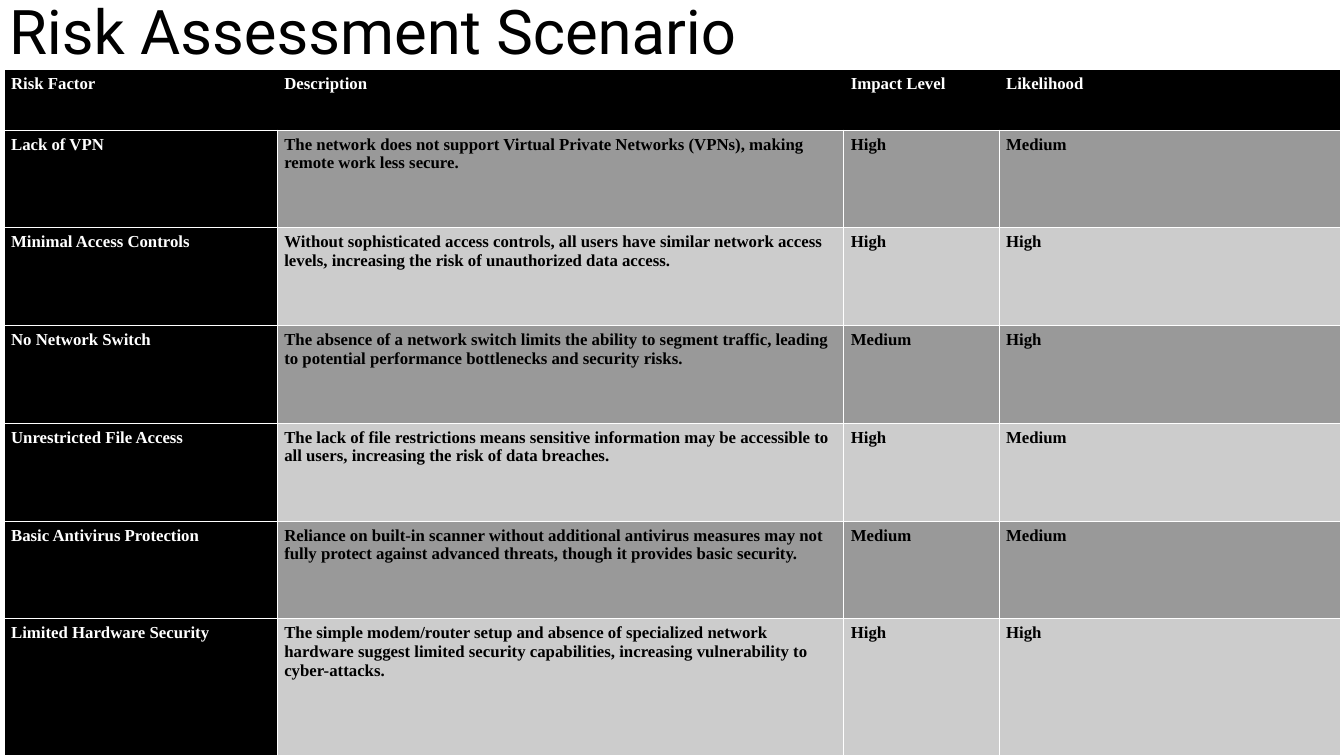
from lxml.etree import SubElement
from pptx import Presentation
from pptx.dml.color import RGBColor
from pptx.enum.text import MSO_ANCHOR as Anchor, MSO_AUTO_SIZE as AutoSize, PP_ALIGN as Align
from pptx.oxml.ns import qn
from pptx.util import Inches, Pt

WIDTH, HEIGHT = Inches(13.33), Inches(7.5)
BLACK, WHITE = "000000", "FFFFFF"
BANDS = ["999999", "CCCCCC"]
COLUMN_SHARES = [20.33, 42.16, 11.55, 25.43]
HEADER_SHARE, RISK_SHARE, LAST_SHARE = 8, 12.93, 18.13

HEADINGS = ("Risk Factor", "Description", "Impact Level", "Likelihood")
RISKS = [
    ("Lack of VPN",
     "The network does not support Virtual Private Networks (VPNs), making remote work less secure.",
     "High", "Medium"),
    ("Minimal Access Controls",
     "Without sophisticated access controls, all users have similar network access levels, "
     "increasing the risk of unauthorized data access.",
     "High", "High"),
    ("No Network Switch",
     "The absence of a network switch limits the ability to segment traffic, leading to potential "
     "performance bottlenecks and security risks.",
     "Medium", "High"),
    ("Unrestricted File Access",
     "The lack of file restrictions means sensitive information may be accessible to all users, "
     "increasing the risk of data breaches.",
     "High", "Medium"),
    ("Basic Antivirus Protection",
     "Reliance on built-in scanner without additional antivirus measures may not fully protect "
     "against advanced threats, though it provides basic security.",
     "Medium", "Medium"),
    ("Limited Hardware Security",
     "The simple modem/router setup and absence of specialized network hardware suggest limited "
     "security capabilities, increasing vulnerability to cyber-attacks.",
     "High", "High"),
]


def across(percent):
    return round(WIDTH * percent / 100)


def down(percent):
    return round(HEIGHT * percent / 100)


def paint(target, color):
    target.rgb = RGBColor.from_string(color)


def write(frame, text, size, font, color, bold=False):
    frame.text = text
    for run in frame.paragraphs[0].runs:
        run.font.size, run.font.name, run.font.bold = Pt(size), font, bold
        paint(run.font.color, color)


def add_heading(slide, text):
    heading = slide.shapes.title
    heading.left, heading.top = across(-0.08), down(-5.07)
    heading.width, heading.height = across(86.27), down(19.33)
    frame = heading.text_frame
    write(frame, text, 44, "Roboto", BLACK)
    frame.word_wrap, frame.auto_size = True, AutoSize.NONE
    frame.vertical_anchor = Anchor.MIDDLE
    frame.paragraphs[0].alignment = Align.LEFT
    frame.paragraphs[0].line_spacing = 0.9


def add_borders(cell, visible):
    properties = cell._tc.get_or_add_tcPr()
    for side in "LRTB":
        line = SubElement(properties, qn(f"a:ln{side}"), w=str(Pt(0.75)))
        if side in visible:
            SubElement(SubElement(line, qn("a:solidFill")), qn("a:srgbClr"), val=WHITE)
        else:
            SubElement(line, qn("a:noFill"))


def fill_cell(cell, text, fill, color, borders):
    add_borders(cell, borders)
    cell.fill.solid()
    paint(cell.fill.fore_color, fill)
    cell.margin_left = cell.margin_right = Inches(0.07)
    cell.margin_top = cell.margin_bottom = Inches(0.05)
    cell.vertical_anchor = Anchor.TOP
    write(cell.text_frame, text, 12, "Times New Roman", color, bold=True)


def header_borders(column):
    outer = {0: "L", len(HEADINGS) - 1: "R"}
    return "TB" + outer.get(column, "")


def add_risk_table(slide):
    row_shares = [HEADER_SHARE] + [RISK_SHARE] * (len(RISKS) - 1) + [LAST_SHARE]
    table = slide.shapes.add_table(
        len(row_shares), len(HEADINGS), across(0.3), down(9.2),
        across(sum(COLUMN_SHARES)), down(sum(row_shares))).table
    for column, share in zip(table.columns, COLUMN_SHARES):
        column.width = across(share)
    for row, share in zip(table.rows, row_shares):
        row.height = down(share)
    for column, text in enumerate(HEADINGS):
        fill_cell(table.cell(0, column), text, BLACK, WHITE, header_borders(column))
    for index, risk in enumerate(RISKS):
        for column, text in enumerate(risk):
            fill, color = (BANDS[index % 2], BLACK) if column else (BLACK, WHITE)
            fill_cell(table.cell(index + 1, column), text, fill, color, "LRTB")


def main():
    deck = Presentation()
    deck.slide_width, deck.slide_height = WIDTH, HEIGHT
    slide = deck.slides.add_slide(deck.slide_layouts.get_by_name("Title Only"))
    add_heading(slide, "Risk Assessment Scenario")
    add_risk_table(slide)
    deck.save("out.pptx")


if __name__ == "__main__":
    main()
